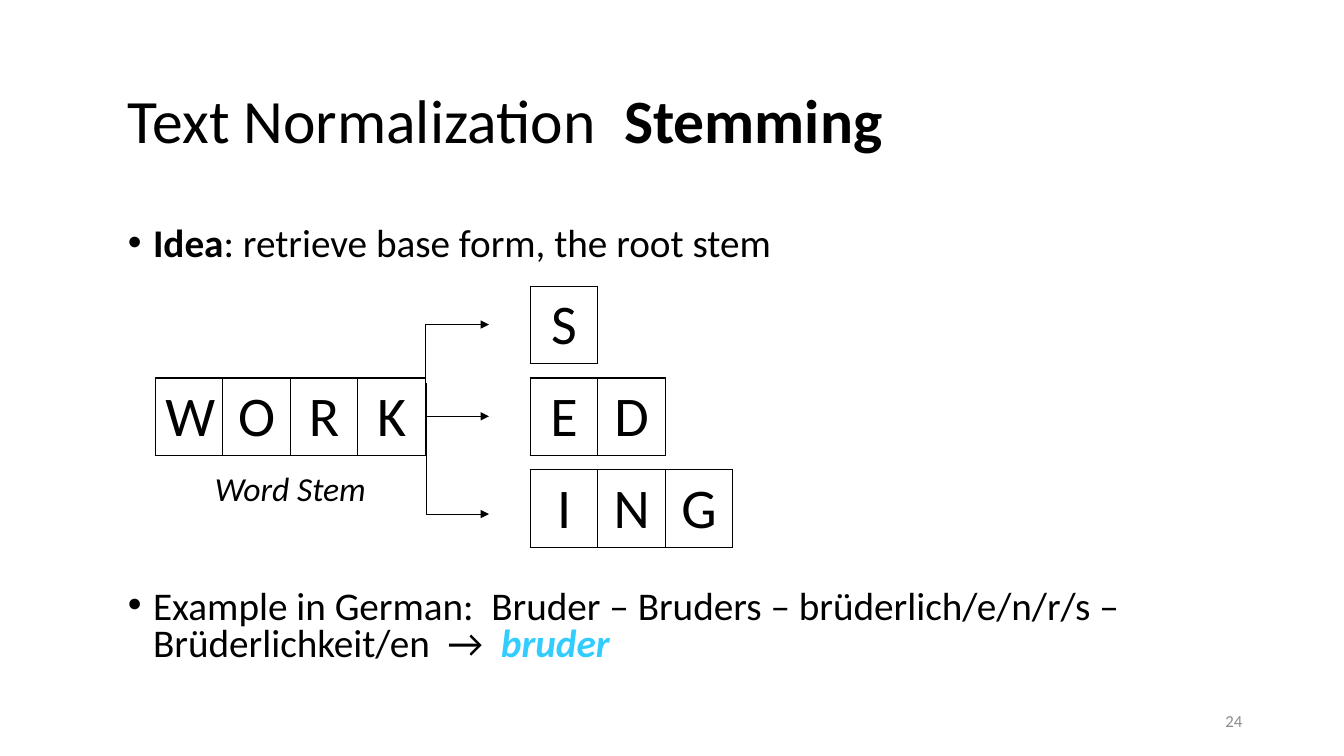
from typing import NamedTuple

from lxml.etree import SubElement
from pptx import Presentation
from pptx.dml.color import RGBColor
from pptx.enum.shapes import MSO_CONNECTOR
from pptx.enum.text import MSO_ANCHOR, PP_ALIGN
from pptx.oxml.ns import qn
from pptx.util import Inches, Pt

BLACK, GREY, CYAN = "000000", "8C8C8C", "33CCFF"
CELL_W, CELL_H = 0.67, 0.77
STEM_X, SUFFIX_X = 1.54, 5.26
TOP_Y, ROW_STEP = 2.84, 0.91


class Run(NamedTuple):
    text: str
    size: float
    color: str = BLACK
    bold: bool = False
    italic: bool = False


class Word(NamedTuple):
    letters: str
    x: float
    row: int


class Arrow(NamedTuple):
    x: float
    y: float
    end_y: float


def rgb(color: str) -> RGBColor:
    """Turn a hex string into a colour."""
    return RGBColor.from_string(color)


def add_runs(p, runs: list[Run], align=PP_ALIGN.LEFT) -> None:
    """Fill a paragraph run by run."""
    p.alignment = align
    for run in runs:
        r = p.add_run()
        r.text = run.text
        r.font.name = "Calibri"
        r.font.size = Pt(run.size)
        r.font.bold, r.font.italic = run.bold, run.italic
        r.font.color.rgb = rgb(run.color)


def add_box(s, x: float, y: float, w: float, h: float, anchor=MSO_ANCHOR.TOP):
    """Add a wrapping text box and return its text frame."""
    tf = s.shapes.add_textbox(Inches(x), Inches(y), Inches(w), Inches(h)).text_frame
    tf.word_wrap = True
    tf.vertical_anchor = anchor
    return tf


def add_bullet(p, runs: list[Run], before: float) -> None:
    """Format a paragraph as a bullet with a hanging indent."""
    add_runs(p, runs)
    p.line_spacing, p.space_before = 0.8, Pt(before)
    pPr = p._p.get_or_add_pPr()
    pPr.set("marL", str(Inches(0.25)))
    pPr.set("indent", str(-Inches(0.25)))
    SubElement(pPr, qn("a:buFont"), typeface="Arial")
    SubElement(pPr, qn("a:buChar"), char="•")


def add_border(cell) -> None:
    """Draw a thin black line on all four sides of a cell."""
    tcPr = cell._tc.get_or_add_tcPr()
    for i, side in enumerate(("lnL", "lnR", "lnT", "lnB")):
        ln = tcPr.makeelement(qn(f"a:{side}"), {"w": str(Pt(1))})
        fill = SubElement(ln, qn("a:solidFill"))
        SubElement(fill, qn("a:srgbClr"), val=BLACK)
        tcPr.insert(i, ln)


def add_word(s, word: Word) -> None:
    """Add a one-row table with one letter in each cell."""
    n = len(word.letters)
    y = TOP_Y + word.row * ROW_STEP
    table = s.shapes.add_table(1, n, Inches(word.x), Inches(y),
                               Inches(CELL_W * n), Inches(CELL_H)).table
    table.first_row = table.horz_banding = False
    for i, letter in enumerate(word.letters):
        table.columns[i].width = Inches(CELL_W)
        cell = table.cell(0, i)
        cell.fill.background()
        add_runs(cell.text_frame.paragraphs[0], [Run(letter, 40)], PP_ALIGN.CENTER)
        add_border(cell)


def add_arrow(s, arrow: Arrow) -> None:
    """Add an arrow that leaves vertically when its ends differ in height."""
    bent = arrow.y != arrow.end_y
    kind = MSO_CONNECTOR.ELBOW if bent else MSO_CONNECTOR.STRAIGHT
    c = s.shapes.add_connector(kind, Inches(arrow.x), Inches(arrow.y),
                               Inches(4.85), Inches(arrow.end_y))
    c.line.color.rgb = rgb(BLACK)
    c.line.width = Pt(0.5)
    spPr = c._element.spPr
    SubElement(spPr.find(qn("a:ln")), qn("a:tailEnd"), type="triangle")
    SubElement(spPr, qn("a:effectLst"))
    if bent:
        geom = spPr.find(qn("a:prstGeom"))
        avLst = geom.find(qn("a:avLst"))
        if avLst is None:
            avLst = SubElement(geom, qn("a:avLst"))
        SubElement(avLst, qn("a:gd"), name="adj1", fmla="val 0")


def main() -> None:
    """Build the stemming slide."""
    prs = Presentation()
    prs.slide_width, prs.slide_height = Inches(13.33), Inches(7.5)
    s = prs.slides.add_slide(prs.slide_layouts[6])

    tf = add_box(s, 9.42, 6.95, 3, 0.4, MSO_ANCHOR.MIDDLE)
    add_runs(tf.paragraphs[0], [Run("24", 12, GREY)], PP_ALIGN.RIGHT)

    tf = add_box(s, 1.17, 0.61, 11.25, 1.23, MSO_ANCHOR.MIDDLE)
    add_runs(tf.paragraphs[0], [Run("Text Normalization  ", 44),
                                Run("Stemming", 44, bold=True)])
    tf.paragraphs[0].line_spacing = 0.9

    tf = add_box(s, 1.17, 2.21, 11.25, 4.59)
    add_bullet(tf.paragraphs[0], [
        Run("Idea", 28, bold=True),
        Run(": retrieve base form, the root stem", 28)], 10)
    add_bullet(tf.add_paragraph(), [
        Run("Example in German:  Bruder – Bruders – brüderlich/e/n/r/s – "
            "Brüderlichkeit/en  →  ", 28),
        Run("bruder", 28, CYAN, True, True)], 232)

    for word in (Word("WORK", STEM_X, 1), Word("S", SUFFIX_X, 0),
                 Word("ED", SUFFIX_X, 1), Word("ING", SUFFIX_X, 2)):
        add_word(s, word)
    for arrow in (Arrow(4.23, 3.8, 5.1), Arrow(4.22, 4.11, 3.22),
                  Arrow(4.22, 4.13, 4.13)):
        add_arrow(s, arrow)

    tf = add_box(s, STEM_X, 4.59, 4 * CELL_W, 0.5)
    add_runs(tf.paragraphs[0], [Run("Word Stem", 24, italic=True)], PP_ALIGN.CENTER)

    prs.save("out.pptx")


main()
